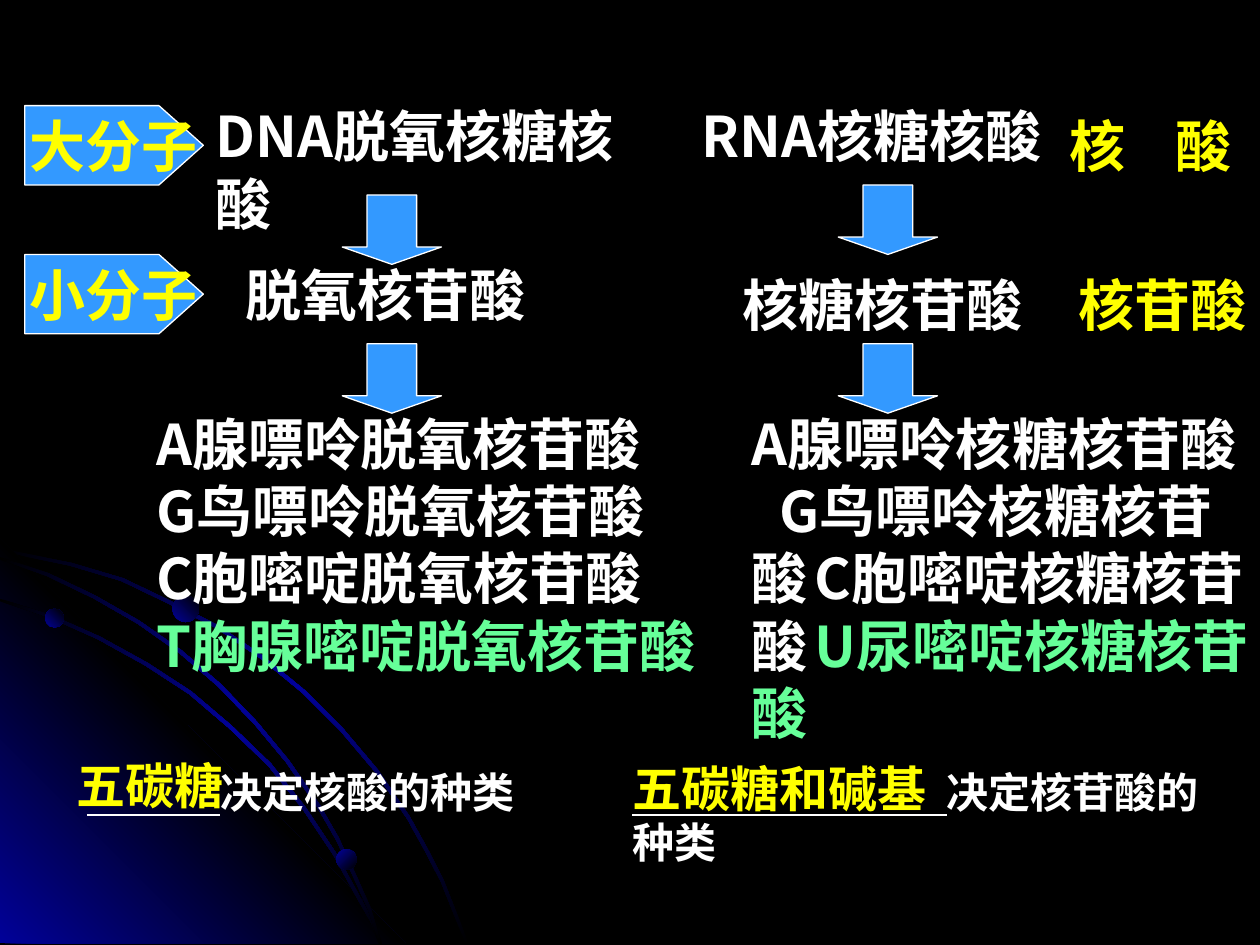
from lxml import etree
from pptx import Presentation
from pptx.dml.color import RGBColor
from pptx.enum.shapes import MSO_CONNECTOR as CONN, MSO_SHAPE as SHAPE
from pptx.enum.text import MSO_ANCHOR as ANCHOR, PP_ALIGN as ALIGN
from pptx.oxml.ns import qn
from pptx.util import Cm, Pt

COLORS = {
    "black": "000000", "navy": "010199", "blue": "3399FF",
    "white": "FFFFFF", "yellow": "FFFF00", "green": "66FF99",
}
SC, JP, ARIAL = "Noto Sans CJK SC", "Noto Sans CJK JP", "Arial"

# Upper edges of the background arcs, in cm
ARCS = [
    [(0, 11.05), (0.71, 11.2), (1.45, 11.35), (2.49, 11.66), (3.45, 12.12),
     (4.42, 12.62), (5.31, 13.23), (6.15, 13.92), (6.91, 14.68), (7.62, 15.52),
     (8.26, 16.46), (8.61, 17.09), (8.94, 17.73), (9.19, 18.36), (9.45, 19.02)],
    [(0, 12.07), (1.04, 12.4), (2.01, 12.83), (2.97, 13.36), (3.86, 13.94),
     (4.67, 14.63), (5.46, 15.39), (6.15, 16.26), (6.76, 17.17), (7.26, 18.08),
     (7.52, 18.54), (7.7, 19.02)],
    [(0, 11.23), (0.99, 11.56), (1.93, 12.01), (2.82, 12.52), (3.66, 13.11),
     (4.45, 13.79), (5.18, 14.55), (5.82, 15.32), (6.45, 16.23), (6.83, 16.89),
     (7.16, 17.6), (7.47, 18.29), (7.7, 19.02)],
]


def rgb(name):
    return RGBColor.from_string(COLORS[name])


class Board:
    """Holds the current slide and the style of its elements."""

    def __init__(self, s):
        self.s = s
        s.background.fill.solid()
        s.background.fill.fore_color.rgb = rgb("black")

    def gradient(self, sp, names, angle):
        """Spread the named colours evenly; the angle runs clockwise."""
        sp.shadow.inherit = False
        sp.line.fill.background()
        sp.fill.gradient()
        grad = sp._element.spPr.find(qn("a:gradFill"))
        stops = grad.find(qn("a:gsLst"))
        for gs in list(stops):
            stops.remove(gs)
        for i, name in enumerate(names):
            gs = etree.SubElement(stops, qn("a:gs"), pos=str(100000 * i // (len(names) - 1)))
            etree.SubElement(gs, qn("a:srgbClr"), val=COLORS[name])
        grad.find(qn("a:lin")).set("ang", str(angle * 60000))

    def polygon(self, points, names, angle):
        pts = [(Cm(x), Cm(y)) for x, y in points]
        fb = self.s.shapes.build_freeform(*pts[0])
        fb.add_line_segments(pts[1:], close=True)
        self.gradient(fb.convert_to_shape(), names, angle)

    def arc(self, edge, width=0.05):
        back = [(max(0, x - width), min(19.05, y + width)) for x, y in reversed(edge)]
        self.polygon(edge + back, ["black", "navy", "black"], 45)

    def dot(self, x, y, size, angle):
        sp = self.s.shapes.add_shape(SHAPE.OVAL, Cm(x), Cm(y), Cm(size), Cm(size))
        self.gradient(sp, ["navy", "black"], angle)

    def run(self, p, text, size, color, font=SC):
        r = p.add_run()
        r.text = text
        r.font.size, r.font.bold, r.font.name = Pt(size), True, font
        r.font.color.rgb = rgb(color)
        etree.SubElement(r._r.get_or_add_rPr(), qn("a:ea"), typeface=font)

    def text(self, x, y, w, h, paragraphs, size=32, font=SC, indent=0, tabs=()):
        """Each paragraph is a list of (text, colour) runs."""
        tf = self.s.shapes.add_textbox(Cm(x), Cm(y), Cm(w), Cm(h)).text_frame
        tf.word_wrap = True
        for i, runs in enumerate(paragraphs):
            p = tf.paragraphs[0] if i == 0 else tf.add_paragraph()
            pPr = p._p.get_or_add_pPr()
            # The indent belongs to the last paragraph
            if indent and i == len(paragraphs) - 1:
                pPr.set("marL", "0")
                pPr.set("indent", str(Cm(indent)))
            if tabs:
                lst = etree.SubElement(pPr, qn("a:tabLst"))
                for pos in tabs:
                    etree.SubElement(lst, qn("a:tab"), pos=str(Cm(pos)), algn="l")
            for text, color in runs:
                self.run(p, text, size, color, font)

    def block(self, kind, x, y, w, h):
        sp = self.s.shapes.add_shape(kind, Cm(x), Cm(y), Cm(w), Cm(h))
        sp.shadow.inherit = False
        sp.fill.solid()
        sp.fill.fore_color.rgb = rgb("blue")
        sp.line.color.rgb = rgb("white")
        sp.line.width = Pt(0.75)
        return sp

    def down_arrow(self, x, y):
        sp = self.block(SHAPE.DOWN_ARROW, x, y, 2, 1.4)
        sp.adjustments[0], sp.adjustments[1] = 0.5, 0.25

    def tag(self, y, text):
        sp = self.block(SHAPE.PENTAGON, 0.5, y, 3.6, 1.6)
        sp.adjustments[0] = 0.56
        tf = sp.text_frame
        tf.word_wrap = False
        tf.vertical_anchor = ANCHOR.MIDDLE
        tf.margin_left = Cm(0.7)  # balances the pointed end
        p = tf.paragraphs[0]
        p.alignment = ALIGN.CENTER
        self.run(p, text, 32, "yellow")

    def underline(self, x1, x2, y):
        c = self.s.shapes.add_connector(CONN.STRAIGHT, Cm(x1), Cm(y), Cm(x2), Cm(y))
        c.line.color.rgb = rgb("white")
        c.line.width = Pt(1.25)
        etree.SubElement(c._element.spPr, qn("a:effectLst"))


def main():
    prs = Presentation()
    prs.slide_width, prs.slide_height = Cm(25.4), Cm(19.05)
    b = Board(prs.slides.add_slide(prs.slide_layouts[6]))

    # Background decoration
    b.arc(ARCS[0])
    b.polygon([(0, 10.85), (8.18, 19.02), (0, 19.02)], ["navy", "black", "navy"], 315)
    for edge in ARCS[1:]:
        b.arc(edge)
    for x, y, size, angle in [(0.91, 12.27, 0.38, 315), (6.78, 17.12, 0.41, 45),
                              (3.48, 12.01, 0.53, 315)]:
        b.dot(x, y, size, angle)

    # Polymers and their units
    b.text(21.31, 2.13, 4.09, 1.63, [[("核\t酸", "yellow")]], font=ARIAL, tabs=[2.13])
    for x, y, w, text in [(4.09, 1.93, 9.6, "DNA脱氧核糖核酸"),
                          (13.89, 1.93, 8.61, "RNA核糖核酸"),
                          (4.7, 5.13, 7.01, "脱氧核苷酸"),
                          (14.71, 5.33, 6.81, "核糖核苷酸")]:
        b.text(x, y, w, 1.63, [[(text, "white")]])

    # Nucleotide lists
    b.text(2.9, 8.13, 11.61, 7.04, [
        [("A腺嘌呤脱氧核苷酸", "white")],
        [("G鸟嘌呤脱氧核苷酸", "white")],
        [("C胞嘧啶脱氧核苷酸", "white")],
        [("T胸腺嘧啶脱氧核苷酸", "green")]])
    b.text(14.91, 8.13, 10.59, 7.04, [
        [("A腺嘌呤核糖核苷酸", "white")],
        [("G鸟嘌呤核糖核苷酸\tC胞嘧啶核糖核苷酸\t", "white"),
         ("U尿嘧啶核糖核苷酸", "green")]], indent=0.56, tabs=[1.93, 3.07])

    # Arrows between the levels
    for x, y in [(6.9, 3.93), (6.9, 6.93), (16.9, 6.93), (16.9, 3.73)]:
        b.down_arrow(x, y)

    # Conclusions with filled-in blanks
    b.text(1.5, 15.32, 9.6, 1.27, [[("决定核酸的种类", "white")]], 24, JP, indent=2.69)
    b.text(12.5, 15.32, 12.6, 2.29, [[("决定核苷酸的种类", "white")]], 24, JP, indent=6.34)
    b.underline(1.75, 4.44, 16.43)
    b.underline(12.75, 19.09, 16.43)
    b.text(1.3, 15.11, 4.29, 1.45, [[("五碳糖", "yellow")]], 28)
    b.text(12.5, 15.16, 7.39, 1.45, [[("五碳糖和碱基", "yellow")]], 28)

    # Level tags
    b.tag(2.13, "大分子")
    b.tag(5.13, "小分子")
    b.text(21.49, 5.33, 3.91, 1.63, [[("核苷酸", "yellow")]], font=ARIAL)

    prs.save("out.pptx")


if __name__ == "__main__":
    main()
